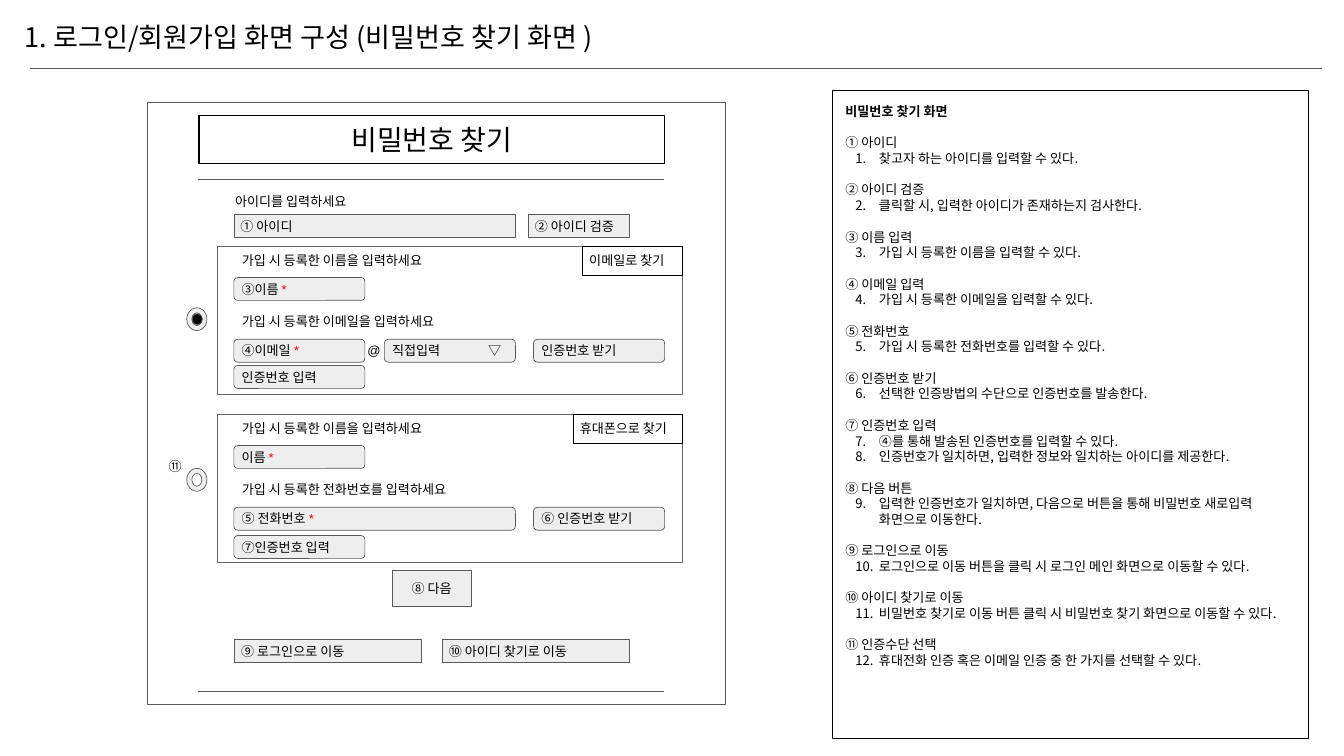
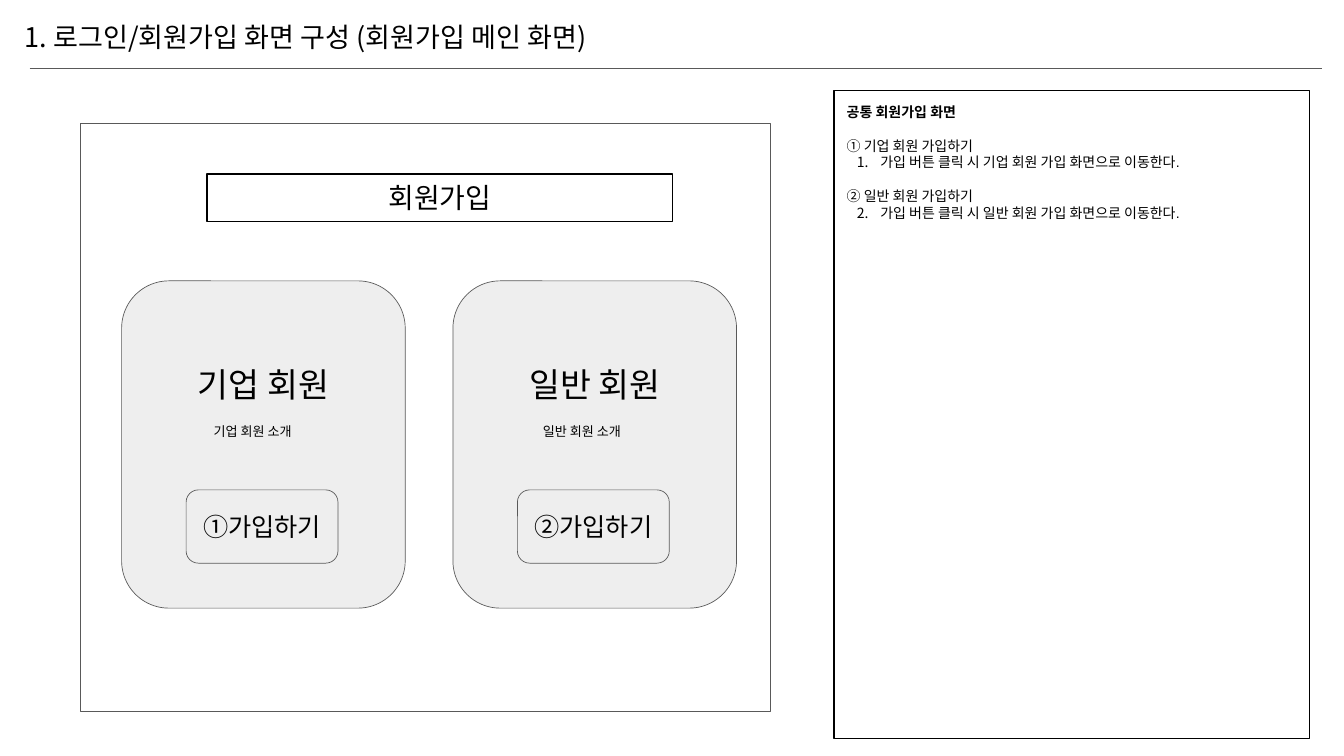
from pptx import Presentation
from pptx.dml.color import RGBColor
from pptx.enum.shapes import MSO_CONNECTOR, MSO_SHAPE
from pptx.enum.text import MSO_ANCHOR, PP_ALIGN
from pptx.oxml.ns import qn
from pptx.util import Inches, Pt
from lxml.etree import SubElement

NOTO, ARIAL = "Noto Sans CJK KR", "Arial"
INK, EDGE, RIM, FILL, RED = "000000", "595959", "666666", "EEEEEE", "FF0000"
RECT, ROUND = MSO_SHAPE.RECTANGLE, MSO_SHAPE.ROUNDED_RECTANGLE
COLS, ROWS = 200, 112.5  # grid cells of a tenth of an inch


def color(code):
    return RGBColor.from_string(code)


class Sheet:
    """Holds the wireframe style and the slide being filled."""

    def __init__(self):
        self.deck = Presentation()
        self.deck.slide_width = Inches(20)
        self.deck.slide_height = Inches(11.25)
        self.slide = None

    def grid(self, col, row, wide=0, high=0):
        across = self.deck.slide_width / COLS
        down = self.deck.slide_height / ROWS
        return [int(col * across), int(row * down), int(wide * across), int(high * down)]

    def page(self, title):
        self.slide = self.deck.slides.add_slide(self.deck.slide_layouts[6])
        self.label((0, 0, COLS, 10.9), title, 29, NOTO, pad=3.7, anchor=MSO_ANCHOR.MIDDLE)
        self.rule(4.4, 196.8, 10.1)

    # Text
    def style(self, para, size, font, bold=False):
        para.line_spacing = Pt(size * 1.2)
        for run in para.runs:
            run.font.size, run.font.name, run.font.bold = Pt(size), font, bold
            run.font.color.rgb = color(RED if run.text == "*" else INK)
            SubElement(run.font._element, qn("a:ea"), typeface=NOTO)

    def letter(self, shape, text, size, font, align, anchor, pad=1):
        frame = shape.text_frame
        frame.word_wrap = True
        frame.vertical_anchor = anchor
        frame.margin_left = self.grid(pad, 0)[0]
        frame.margin_right = frame.margin_top = frame.margin_bottom = Inches(0.1)
        frame.text = text.rstrip("*")
        para = frame.paragraphs[0]
        if text.endswith("*"):
            para.add_run().text = "*"
        para.alignment = align
        self.style(para, size, font)

    def label(self, spot, text, size=14, font=ARIAL, pad=1, anchor=MSO_ANCHOR.TOP):
        shape = self.slide.shapes.add_textbox(*self.grid(*spot))
        self.letter(shape, text, size, font, PP_ALIGN.LEFT, anchor, pad)

    # Shapes
    def box(self, spot, kind=RECT, fill=None, line=EDGE, width=0.75):
        shape = self.slide.shapes.add_shape(kind, *self.grid(*spot))
        shape.shadow.inherit = False
        if fill:
            shape.fill.solid()
            shape.fill.fore_color.rgb = color(fill)
        else:
            shape.fill.background()
        shape.line.color.rgb = color(line)
        shape.line.width = Pt(width)
        return shape

    def field(self, spot, text, kind=ROUND, size=14, font=ARIAL, align=PP_ALIGN.LEFT):
        shape = self.box(spot, kind, FILL)
        self.letter(shape, text, size, font, align, MSO_ANCHOR.MIDDLE)
        return shape

    def banner(self, col, row, text):
        shape = self.box((col, row, 69.3, 7.1), line=INK, width=1.5)
        self.letter(shape, text, 30, NOTO, PP_ALIGN.CENTER, MSO_ANCHOR.TOP)

    def tag(self, spot, text):
        shape = self.box(spot, line=INK)
        self.letter(shape, text, 14, ARIAL, PP_ALIGN.LEFT, MSO_ANCHOR.TOP)

    def rule(self, left, right, row):
        ends = self.grid(left, row)[:2] + self.grid(right, row)[:2]
        line = self.slide.shapes.add_connector(MSO_CONNECTOR.STRAIGHT, *ends)
        line.line.color.rgb = color(EDGE)
        line.line.width = Pt(0.75)
        SubElement(line._element.spPr, qn("a:effectLst"))

    # Description panel with running numbers
    def panel(self, col, title, notes, size, font):
        shape = self.box((col, 13.5, 70.8, 96.4), line=INK, width=1.5)
        frame = shape.text_frame
        frame.word_wrap = True
        frame.vertical_anchor = MSO_ANCHOR.TOP
        frame.margin_left = frame.margin_right = Inches(0.19)
        frame.margin_top = frame.margin_bottom = Inches(0.19)
        frame.text = title
        frame.paragraphs[0].alignment = PP_ALIGN.LEFT
        self.style(frame.paragraphs[0], size, font, True)
        count = 0
        for head, *items in notes:
            para = frame.add_paragraph()
            para.text = head
            para.alignment = PP_ALIGN.LEFT
            para.space_before = Pt(size * 1.2)
            self.style(para, size, font)
            for item in items:
                count += 1
                para = frame.add_paragraph()
                para.text = item
                para.alignment = PP_ALIGN.LEFT
                self.style(para, size, font)
                self.number(para, count)

    def number(self, para, count):
        props = para._p.get_or_add_pPr()
        props.set("marL", str(Inches(0.5)))
        props.set("indent", str(Inches(-0.35)))
        tint = SubElement(props, qn("a:buClr"))
        SubElement(tint, qn("a:srgbClr"), val=INK)
        SubElement(props, qn("a:buFont"), typeface=NOTO)
        SubElement(props, qn("a:buAutoNum"), type="arabicPeriod", startAt=str(count))


FIND = [
    ("① 아이디", "찾고자 하는 아이디를 입력할 수 있다."),
    ("② 아이디 검증", "클릭할 시, 입력한 아이디가 존재하는지 검사한다."),
    ("③ 이름 입력", "가입 시 등록한 이름을 입력할 수 있다."),
    ("④ 이메일 입력", "가입 시 등록한 이메일을 입력할 수 있다."),
    ("⑤ 전화번호", "가입 시 등록한 전화번호를 입력할 수 있다."),
    ("⑥ 인증번호 받기", "선택한 인증방법의 수단으로 인증번호를 발송한다."),
    ("⑦ 인증번호 입력", "④를 통해 발송된 인증번호를 입력할 수 있다.",
     "인증번호가 일치하면, 입력한 정보와 일치하는 아이디를 제공한다."),
    ("⑧ 다음 버튼",
     "입력한 인증번호가 일치하면, 다음으로 버튼을 통해 비밀번호 새로입력 화면으로 이동한다."),
    ("⑨ 로그인으로 이동", "로그인으로 이동 버튼을 클릭 시 로그인 메인 화면으로 이동할 수 있다."),
    ("⑩ 아이디 찾기로 이동",
     "비밀번호 찾기로 이동 버튼 클릭 시 비밀번호 찾기 화면으로 이동할 수 있다."),
    ("⑪ 인증수단 선택", "휴대전화 인증 혹은 이메일 인증 중 한 가지를 선택할 수 있다."),
]
JOIN = [
    ("① 기업 회원 가입하기", "가입 버튼 클릭 시 기업 회원 가입 화면으로 이동한다."),
    ("② 일반 회원 가입하기", "가입 버튼 클릭 시 일반 회원 가입 화면으로 이동한다."),
]
# top, prompt, name, contact, contact width, send, code, code offset, tag, tag width, radio row
WAYS = [
    (36.6, "이메일을", "③이름 *", "④이메일 *", 19.5, "인증번호 받기",
     "인증번호 입력", 17.8, "이메일로 찾기", 14.9, 45.8),
    (61.6, "전화번호를", "이름 *", "⑤ 전화번호 *", 41.9, "⑥ 인증번호 받기",
     "⑦인증번호 입력", 18.1, "휴대폰으로 찾기", 16.3, 69.7),
]


def find(sheet):
    sheet.page("1. 로그인/회원가입 화면 구성 (비밀번호 찾기 화면 )")
    sheet.panel(123.9, "비밀번호 찾기 화면", FIND, 14, NOTO)

    # Screen frame and heading
    sheet.box((21.9, 15.3, 86.1, 89.5))
    sheet.banner(29.6, 17.2, "비밀번호 찾기")
    for row in (26.7, 102.9):
        sheet.rule(29.5, 98.8, row)

    # Account id
    sheet.label((34, 27.8, 60.1, 4.4), "아이디를 입력하세요")
    sheet.field((34.8, 31.9, 41.9, 3.4), "① 아이디", RECT)
    sheet.field((78.6, 31.9, 15, 3.4), "② 아이디 검증", RECT)

    # Two ways to verify
    for top, what, name, contact, wide, send, code, drop, tag, span, radio in WAYS:
        sheet.box((32.3, top, 69.2, 22.1), line=RIM)
        sheet.label((35, top - 0.1, 55.7, 4.4), "가입 시 등록한 이름을 입력하세요")
        sheet.field((34.8, top + 4.7, 19.5, 3.4), name)
        sheet.label((35, top + 9, 55.7, 4.4), f"가입 시 등록한 {what} 입력하세요")
        sheet.field((34.8, top + 13.9, wide, 3.4), contact)
        sheet.field((79.4, top + 13.9, 19.5, 3.4), send)
        sheet.field((34.8, top + drop, 19.5, 3.4), code)
        sheet.tag((101.6 - span, top, span, 4.4), tag)
        sheet.box((27.8, radio, 3, 3.4), MSO_SHAPE.DONUT, FILL)
    sheet.box((28.6, 46.7, 1.5, 1.6), MSO_SHAPE.OVAL, INK)
    sheet.label((24.1, 67.2, 5.5, 4.4), "⑪", font=NOTO)

    # Mail domain picker
    sheet.label((53.7, 50, 2.8, 4.4), "@")
    picker = sheet.field((57.2, 50.5, 19.5, 3.4), "직접입력\t▽")
    props = picker.text_frame.paragraphs[0]._p.get_or_add_pPr()
    stops = SubElement(props, qn("a:tabLst"))
    SubElement(stops, qn("a:tab"), pos=str(Inches(1.43)), algn="l")

    # Buttons
    sheet.field((58.4, 84.9, 11.7, 5.4), "⑧ 다음", RECT, align=PP_ALIGN.CENTER)
    for col, text in ((34.9, "⑨ 로그인으로 이동"), (65.8, "⑩ 아이디 찾기로 이동")):
        sheet.field((col, 95.2, 27.8, 3.4), text, RECT)


def join(sheet):
    sheet.page("1. 로그인/회원가입 화면 구성 (회원가입 메인 화면)")
    sheet.panel(124.1, "공통 회원가입 화면", JOIN, 15, ARIAL)
    sheet.box((12, 18.4, 102.7, 87.5))
    sheet.banner(30.8, 25.9, "회원가입")

    # Member cards
    cards = ((18.1, "기업 회원", "①", 30.8), (67.4, "일반 회원", "②", 79.8))
    for col, name, mark, intro in cards:
        card = sheet.field((col, 41.8, 42.2, 48.7), name, size=36, font=NOTO,
                           align=PP_ALIGN.CENTER)
        card.text_frame.margin_bottom = Inches(1.9)
        sheet.field((col + 9.6, 72.9, 22.6, 10.9), mark + "가입하기", size=27, font=NOTO,
                    align=PP_ALIGN.CENTER)
        sheet.label((intro, 62, 20.9, 4.4), name + " 소개")


def main():
    sheet = Sheet()
    find(sheet)
    join(sheet)
    sheet.deck.save("out.pptx")


if __name__ == "__main__":
    main()
